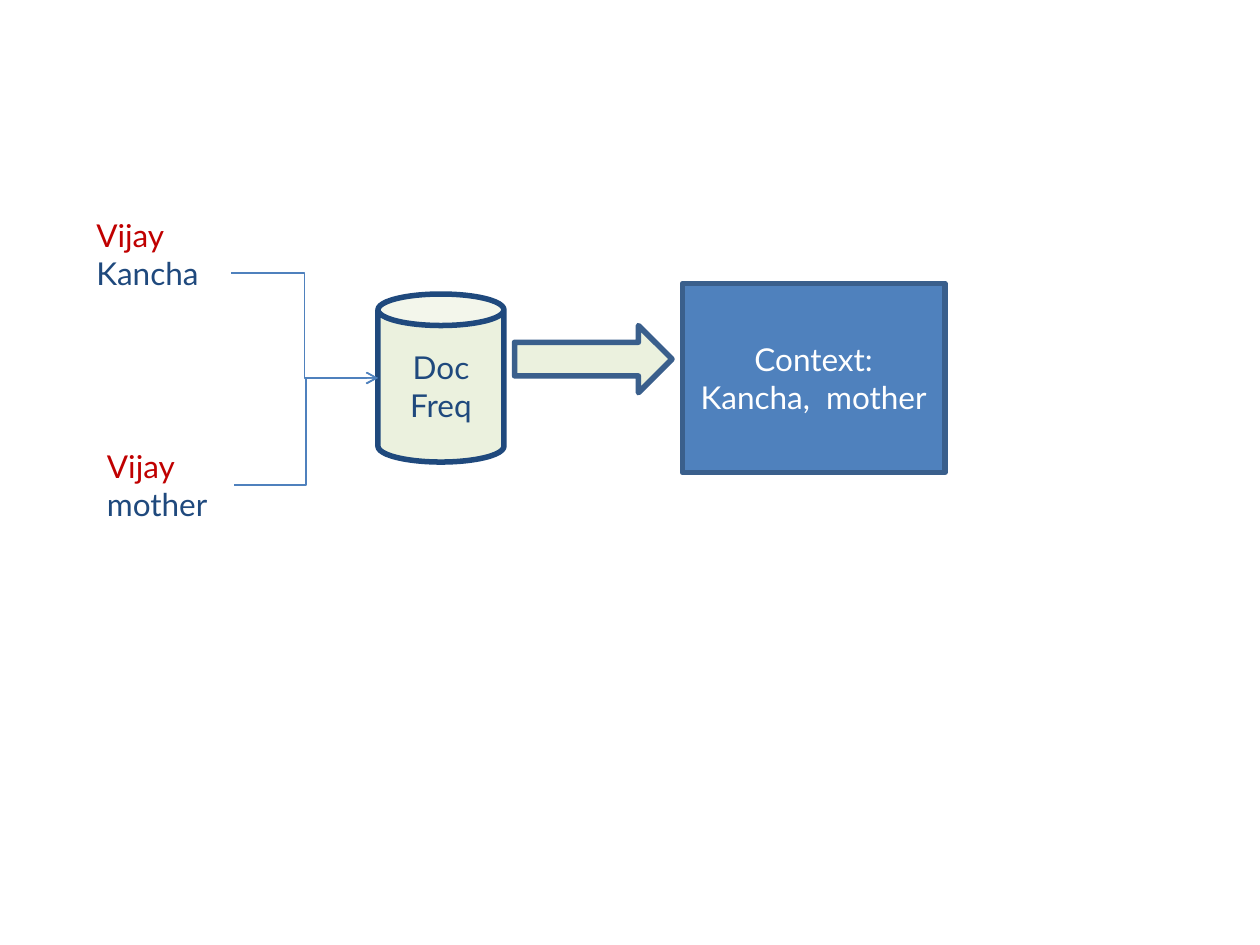
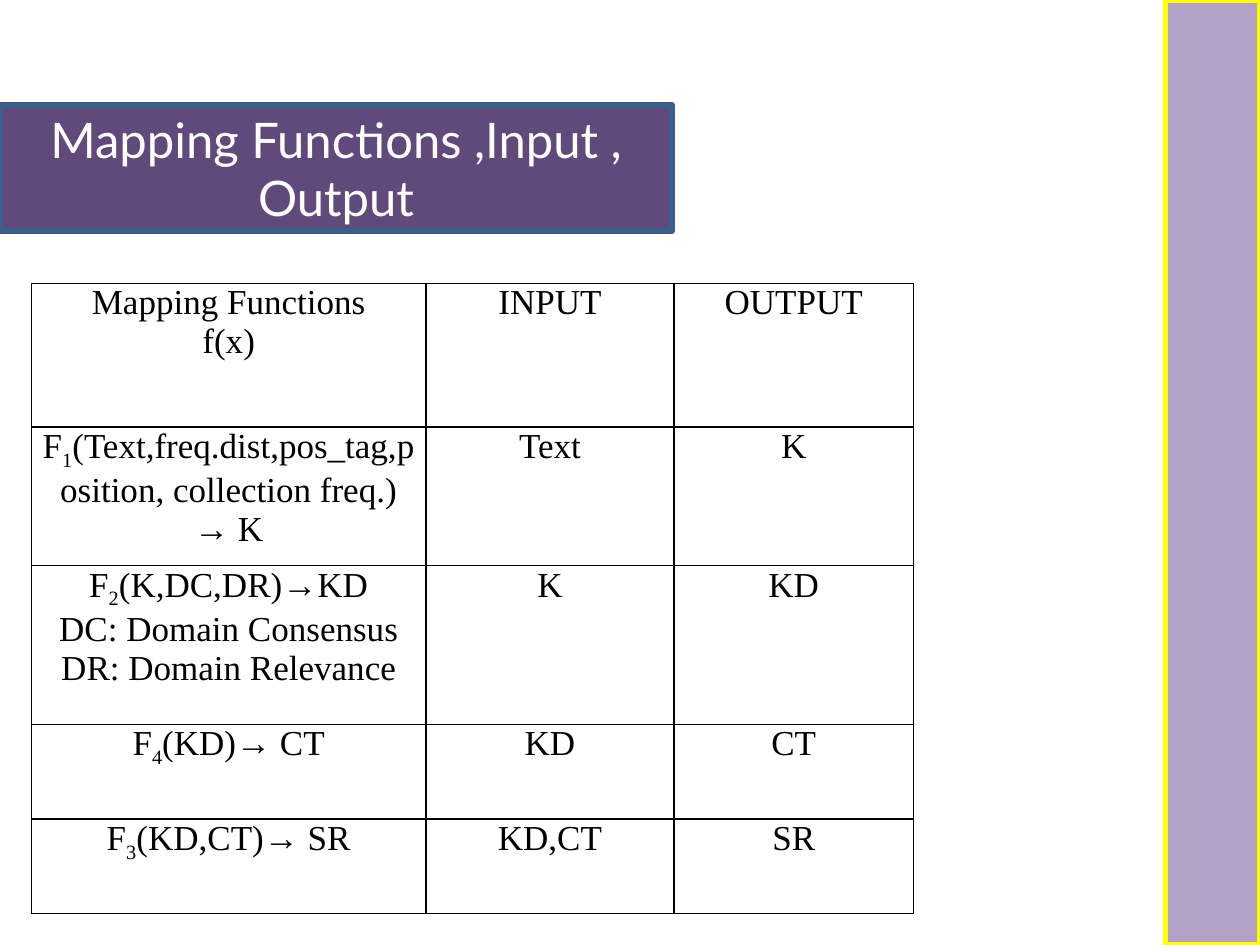
"""Build two slides: a document-frequency flow and a table of mapping functions."""
from lxml.etree import SubElement
from pptx import Presentation
from pptx.dml.color import RGBColor
from pptx.enum.shapes import MSO_CONNECTOR, MSO_SHAPE
from pptx.enum.text import MSO_ANCHOR, MSO_AUTO_SIZE, PP_ALIGN
from pptx.oxml.ns import qn
from pptx.util import Inches, Pt

COLOURS = {
    "navy": "1F497D", "red": "C00000", "blue": "4F81BD", "edge": "3A5F8C",
    "cream": "EBF1DE", "purple": "604A7B", "lilac": "B3A2C7",
    "yellow": "FFFF00", "white": "FFFFFF", "black": "000000",
}
SANS, SERIF = "Lato", "Times New Roman"
UNIT = Inches(1) / 12
COLUMNS, ROWS = 120, 90
OUTLINE, THIN = 3.15, 0.9

WORD_PAIRS = [
    (("Vijay", "Kancha"), (8, 20, 17, 8.5)),
    (("Vijay", "mother"), (9, 42, 13.3, 8.5)),
]
FLOW_SHAPES = [
    (MSO_SHAPE.CAN, (36, 28, 12, 16), "cream", "navy", ["Doc Freq"], "navy", 18),
    (MSO_SHAPE.RIGHT_ARROW, (49, 31, 15, 6.4), "cream", "edge", [], "white", 18),
    (MSO_SHAPE.RECTANGLE, (65, 27, 25, 18), "blue", "edge",
     ["Context:", "Kancha,  mother"], "white", 18),
]
FLOW_STARTS = [(22, 26), (22.3, 46.2)]
FLOW_END = (36, 36)

TITLE_BAND = (MSO_SHAPE.RECTANGLE, (0, 10, 64, 12), "purple", "edge",
              ["Mapping Functions ,Input , Output"], "white", 28)
SIDE_BAND = (MSO_SHAPE.RECTANGLE, (COLUMNS - 9, 0, 9, ROWS), "lilac", "yellow",
             [], "white", 18)

TABLE_BOX = (3, 27, 84, 60)
COLUMN_WIDTHS = [3.13, 1.97, 1.9]
ROW_HEIGHTS = [1.14, 1.1, 1.26, 0.75, 0.75]
FUNCTIONS = [
    (["Mapping Functions", "f(x)"], "INPUT", "OUTPUT"),
    ([("F", "1", "(Text,freq.dist,pos_tag,position, collection freq.) → K")],
     "Text", "K"),
    ([("F", "2", "(K,DC,DR)→KD"), "DC: Domain Consensus", "DR: Domain Relevance"],
     "K", "KD"),
    ([("F", "4", "(KD)→ CT")], "KD", "CT"),
    ([("F", "3", "(KD,CT)→ SR")], "KD,CT", "SR"),
]


def colour(name):
    return RGBColor.from_string(COLOURS[name])


def place(*lengths):
    return [round(length * UNIT) for length in lengths]


def write(frame, lines, font_name, size, colours, alignment):
    for index, line in enumerate(lines):
        paragraph = frame.add_paragraph() if index else frame.paragraphs[0]
        paragraph.alignment = alignment
        paragraph.font.name = font_name
        paragraph.font.size = Pt(size)
        paragraph.font.color.rgb = colour(colours[index % len(colours)])
        parts = (line,) if isinstance(line, str) else line
        for position, part in enumerate(parts):
            run = paragraph.add_run()
            run.text = part
            if position == 1:
                run.font._element.set("baseline", "-25000")


def add_block(slide, kind, box, fill, edge, lines, text_colour, size):
    shape = slide.shapes.add_shape(kind, *place(*box))
    shape.shadow.inherit = False
    shape.fill.solid()
    shape.fill.fore_color.rgb = colour(fill)
    shape.line.color.rgb = colour(edge)
    shape.line.width = Pt(OUTLINE)
    frame = shape.text_frame
    frame.word_wrap = True
    frame.vertical_anchor = MSO_ANCHOR.MIDDLE
    write(frame, lines, SANS, size, [text_colour], PP_ALIGN.CENTER)


def add_word_pair(slide, words, box):
    frame = slide.shapes.add_textbox(*place(*box)).text_frame
    frame.word_wrap = True
    frame.auto_size = MSO_AUTO_SIZE.SHAPE_TO_FIT_TEXT
    write(frame, words, SANS, 18, ["red", "navy"], PP_ALIGN.LEFT)


def add_elbow_arrow(slide, start, end):
    connector = slide.shapes.add_connector(MSO_CONNECTOR.ELBOW, *place(*start, *end))
    connector.line.color.rgb = colour("blue")
    connector.line.width = Pt(THIN)
    SubElement(connector.line._get_or_add_ln(), qn("a:tailEnd"), type="arrow")
    SubElement(connector._element.spPr, qn("a:effectLst"))


def add_borders(cell):
    properties = cell._tc.get_or_add_tcPr()
    for side in ("lnL", "lnR", "lnT", "lnB"):
        border = SubElement(properties, qn(f"a:{side}"), w=str(Pt(1)))
        fill = SubElement(border, qn("a:solidFill"))
        SubElement(fill, qn("a:srgbClr"), val=COLOURS["black"])


def add_function_table(slide):
    table = slide.shapes.add_table(
        len(FUNCTIONS), len(COLUMN_WIDTHS), *place(*TABLE_BOX)).table
    table.first_row = table.horz_banding = False
    for column, width in zip(table.columns, COLUMN_WIDTHS):
        column.width = Inches(width)
    for row, height, contents in zip(table.rows, ROW_HEIGHTS, FUNCTIONS):
        row.height = Inches(height)
        for cell, content in zip(row.cells, contents):
            cell.margin_left = cell.margin_right = Inches(0.07)
            cell.margin_top = cell.margin_bottom = 0
            add_borders(cell)
            cell.fill.background()
            lines = [content] if isinstance(content, str) else content
            write(cell.text_frame, lines, SERIF, 20, ["black"], PP_ALIGN.CENTER)


def build_flow_slide(slide):
    for words, box in WORD_PAIRS:
        add_word_pair(slide, words, box)
    for block in FLOW_SHAPES:
        add_block(slide, *block)
    for start in FLOW_STARTS:
        add_elbow_arrow(slide, start, FLOW_END)


def build_function_slide(slide):
    add_function_table(slide)
    for band in (TITLE_BAND, SIDE_BAND):
        add_block(slide, *band)


def main():
    presentation = Presentation()
    presentation.slide_width, presentation.slide_height = place(COLUMNS, ROWS)
    for build in (build_flow_slide, build_function_slide):
        build(presentation.slides.add_slide(presentation.slide_layouts[6]))
    presentation.save("out.pptx")


if __name__ == "__main__":
    main()
